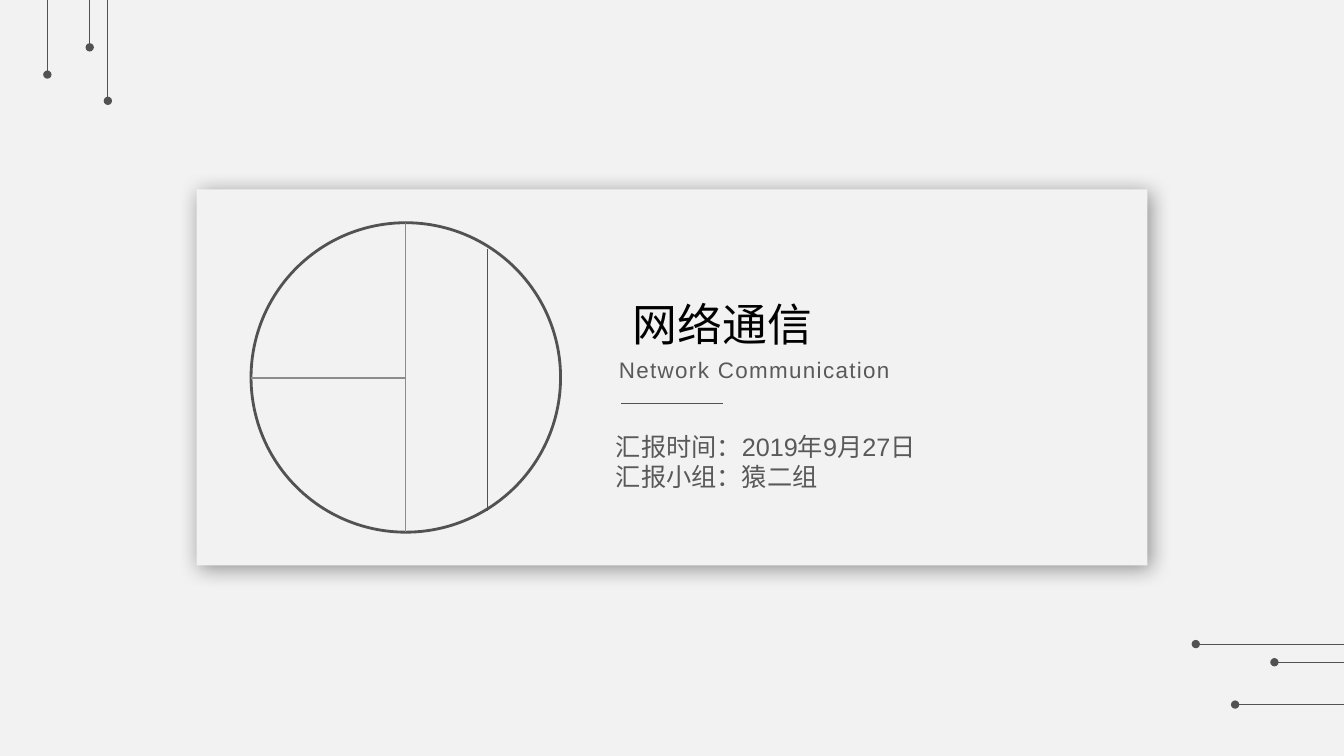
from lxml.etree import SubElement
from pptx import Presentation
from pptx.dml.color import RGBColor
from pptx.enum.shapes import MSO_CONNECTOR, MSO_SHAPE
from pptx.oxml.ns import qn
from pptx.util import Inches, Pt

PAPER = RGBColor(0xF2, 0xF2, 0xF2)
DARK = RGBColor(0x52, 0x52, 0x52)
SOFT = RGBColor(0x8C, 0x8C, 0x8C)
GREY = RGBColor(0x59, 0x59, 0x59)
BLACK = RGBColor(0, 0, 0)
WIDTH, HEIGHT = 13.33, 7.5


def add_shadow(shape):
    """Give the shape a soft shadow towards the lower right."""
    effects = shape._element.spPr.find(qn("a:effectLst"))
    outer = SubElement(effects, qn("a:outerShdw"), blurRad=str(Pt(15)),
                       dist=str(Pt(3)), dir="2700000", algn="tl", rotWithShape="0")
    color = SubElement(outer, qn("a:srgbClr"), val=str(BLACK))
    SubElement(color, qn("a:alpha"), val="40000")


def add_card(slide, left, top, width, height):
    card = slide.shapes.add_shape(MSO_SHAPE.RECTANGLE, Inches(left), Inches(top),
                                  Inches(width), Inches(height))
    card.shadow.inherit = False
    card.fill.solid()
    card.fill.fore_color.rgb = PAPER
    card.line.fill.background()
    add_shadow(card)


def add_ring(slide, left, top, size):
    ring = slide.shapes.add_shape(MSO_SHAPE.OVAL, Inches(left), Inches(top),
                                  Inches(size), Inches(size))
    ring.shadow.inherit = False
    ring.fill.background()
    ring.line.color.rgb = DARK
    ring.line.width = Pt(2)


def add_line(slide, x1, y1, x2, y2, color=DARK, dot=False):
    """Draw a thin line, with a dot at its end if asked."""
    line = slide.shapes.add_connector(MSO_CONNECTOR.STRAIGHT, Inches(x1), Inches(y1),
                                      Inches(x2), Inches(y2))
    line.line.color.rgb = color
    line.line.width = Pt(0.75)
    if dot:
        SubElement(line.line._get_or_add_ln(), qn("a:tailEnd"), type="oval")
    SubElement(line._element.spPr, qn("a:effectLst"))


def add_text(slide, left, top, width, height, lines, size, color, spacing=0):
    """Add one paragraph per line; spacing is between letters, in points."""
    box = slide.shapes.add_textbox(Inches(left), Inches(top), Inches(width), Inches(height))
    frame = box.text_frame
    frame.word_wrap = True
    for i, words in enumerate(lines):
        para = frame.add_paragraph() if i else frame.paragraphs[0]
        run = para.add_run()
        run.text = words
        run.font.name = "Arial"
        run.font.size = Pt(size)
        run.font.color.rgb = color
        props = run.font._element
        if spacing:
            props.set("spc", str(spacing * 100))
        SubElement(props, qn("a:ea"), typeface="Arial")


def main():
    deck = Presentation()
    deck.slide_width, deck.slide_height = Inches(WIDTH), Inches(HEIGHT)
    slide = deck.slides.add_slide(deck.slide_layouts[6])
    slide.background.fill.solid()
    slide.background.fill.fore_color.rgb = PAPER

    add_card(slide, 1.95, 1.88, 9.43, 3.73)
    add_ring(slide, 2.49, 2.21, 3.07)
    add_line(slide, 4.02, 2.21, 4.02, 5.28, SOFT)
    add_line(slide, 4.84, 2.47, 4.84, 5.07)
    add_line(slide, 2.49, 3.75, 4.02, 3.75, SOFT)

    add_text(slide, 6.18, 2.89, 2.34, 0.64, ["网络通信"], 32, BLACK)
    add_text(slide, 6.04, 3.48, 5.1, 0.37, ["Network Communication"], 16, GREY, 1)
    add_line(slide, 6.16, 4, 7.17, 4)
    add_text(slide, 6.01, 4.23, 3.86, 0.71,
             ["汇报时间：2019年9月27日", "汇报小组：猿二组"], 18, GREY)

    for x, y in [(11.86, 6.39), (12.64, 6.57), (12.25, 6.99)]:
        add_line(slide, WIDTH, y, x, y, dot=True)
    for x, y in [(1.07, 1), (0.89, 0.47), (0.47, 0.74)]:
        add_line(slide, x, 0, x, y, dot=True)
    deck.save("out.pptx")


if __name__ == "__main__":
    main()
